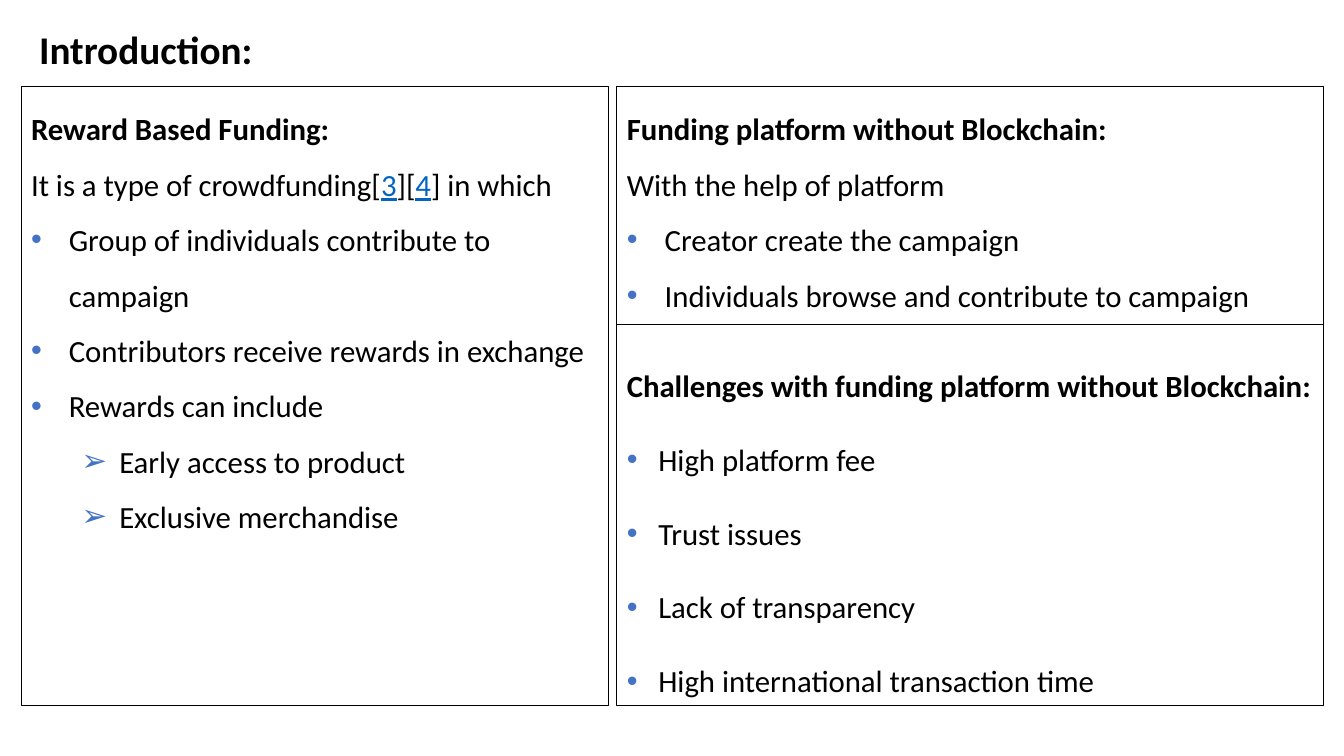
import dataclasses

import pptx
import pptx.dml.color
import pptx.enum.shapes
import pptx.enum.text
import pptx.oxml
import pptx.oxml.ns
import pptx.util

Pt = pptx.util.Pt
Color = pptx.dml.color.RGBColor.from_string


@dataclasses.dataclass(frozen=True)
class Theme:
    font: str = "Calibri"
    title_size: int = 28
    body_size: int = 22
    text: str = "000000"
    link: str = "0563C1"
    bullet: str = "4472C4"
    border: str = "000000"
    border_width: float = 0.75


@dataclasses.dataclass(frozen=True)
class Box:
    left: float
    top: float
    width: float
    height: float

    def lengths(self):
        return [Pt(value) for value in dataclasses.astuple(self)]


@dataclasses.dataclass(frozen=True)
class Bullet:
    mark: str
    margin: float
    hanging: float
    level: int = 0


THEME = Theme()
DOT = Bullet("•", 27, 27)
NARROW_DOT = Bullet("•", 22.5, 22.5)
ARROW = Bullet("➢", 63, 27, level=1)


def add_run(paragraph, text, size=THEME.body_size, bold=False, link=False):
    run = paragraph.add_run()
    run.text = text
    run.font.name = THEME.font
    run.font.size = Pt(size)
    run.font.bold = bold
    run.font.underline = link
    run.font.color.rgb = Color(THEME.link if link else THEME.text)


def set_bullet(paragraph, bullet):
    """Give a paragraph a coloured mark and a hanging indent."""
    paragraph.level = bullet.level
    properties = paragraph._p.get_or_add_pPr()
    properties.set("marL", str(Pt(bullet.margin)))
    properties.set("indent", str(-Pt(bullet.hanging)))
    namespace = pptx.oxml.ns.nsdecls("a")
    for element in (
        f'<a:buClr {namespace}><a:srgbClr val="{THEME.bullet}"/></a:buClr>',
        f'<a:buFont {namespace} typeface="Arial"/>',
        f'<a:buChar {namespace} char="{bullet.mark}"/>',
    ):
        properties.append(pptx.oxml.parse_xml(element))


def add_title(slide, box, text):
    frame = slide.shapes.add_textbox(*box.lengths()).text_frame
    frame.word_wrap = True
    add_run(frame.paragraphs[0], text, THEME.title_size, bold=True)


def add_panel(slide, box, heading, lines, line_spacing):
    """Draw a bordered panel; each line is a bullet (or None) and its runs."""
    shape = slide.shapes.add_shape(
        pptx.enum.shapes.MSO_SHAPE.RECTANGLE, *box.lengths())
    shape.shadow.inherit = False
    shape.fill.background()
    shape.line.color.rgb = Color(THEME.border)
    shape.line.width = Pt(THEME.border_width)

    frame = shape.text_frame
    frame.word_wrap = True
    frame.vertical_anchor = pptx.enum.text.MSO_ANCHOR.TOP

    # Heading, then the body lines
    paragraph = frame.paragraphs[0]
    paragraph.alignment = pptx.enum.text.PP_ALIGN.LEFT
    paragraph.line_spacing = line_spacing
    add_run(paragraph, heading, bold=True)
    for bullet, runs in lines:
        paragraph = frame.add_paragraph()
        paragraph.alignment = pptx.enum.text.PP_ALIGN.LEFT
        paragraph.line_spacing = line_spacing
        if bullet:
            set_bullet(paragraph, bullet)
        for text, link in runs:
            add_run(paragraph, text, link=link)


def plain(bullet, *texts):
    return [(bullet, [(text, False)]) for text in texts]


def add_introduction(slide, box):
    """Place one tall panel on the left and two stacked on the right."""
    left_width, gap, upper_height = 419.76, 5.76, 169.92
    right = box.left + left_width + gap
    right_width = box.width - left_width - gap

    citation = [("It is a type of crowdfunding[", False), ("3", True),
                ("][", False), ("4", True), ("] in which", False)]
    add_panel(
        slide, Box(box.left, box.top, left_width, box.height),
        "Reward Based Funding:",
        [(None, citation)]
        + plain(DOT, "Group of individuals contribute to campaign",
                "Contributors receive rewards in exchange",
                "Rewards can include")
        + plain(ARROW, "Early access to product", "Exclusive merchandise"),
        line_spacing=1.5)
    add_panel(
        slide, Box(right, box.top, right_width, upper_height),
        "Funding platform without Blockchain:",
        plain(None, "With the help of platform")
        + plain(DOT, "Creator create the campaign",
                "Individuals browse and contribute to campaign"),
        line_spacing=1.5)
    add_panel(
        slide, Box(right, box.top + upper_height, right_width,
                   box.height - upper_height),
        "Challenges with funding platform without Blockchain:",
        plain(NARROW_DOT, "High platform fee", "Trust issues",
              "Lack of transparency", "High international transaction time"),
        line_spacing=2.0)


def main():
    presentation = pptx.Presentation()
    presentation.slide_width = Pt(960)
    presentation.slide_height = Pt(540)
    slide = presentation.slides.add_slide(presentation.slide_layouts[6])
    add_title(slide, Box(20.88, 14.4, 334, 41), "Introduction:")
    add_introduction(slide, Box(15.12, 61.92, 930.24, 442.08))
    presentation.save("out.pptx")


if __name__ == "__main__":
    main()
